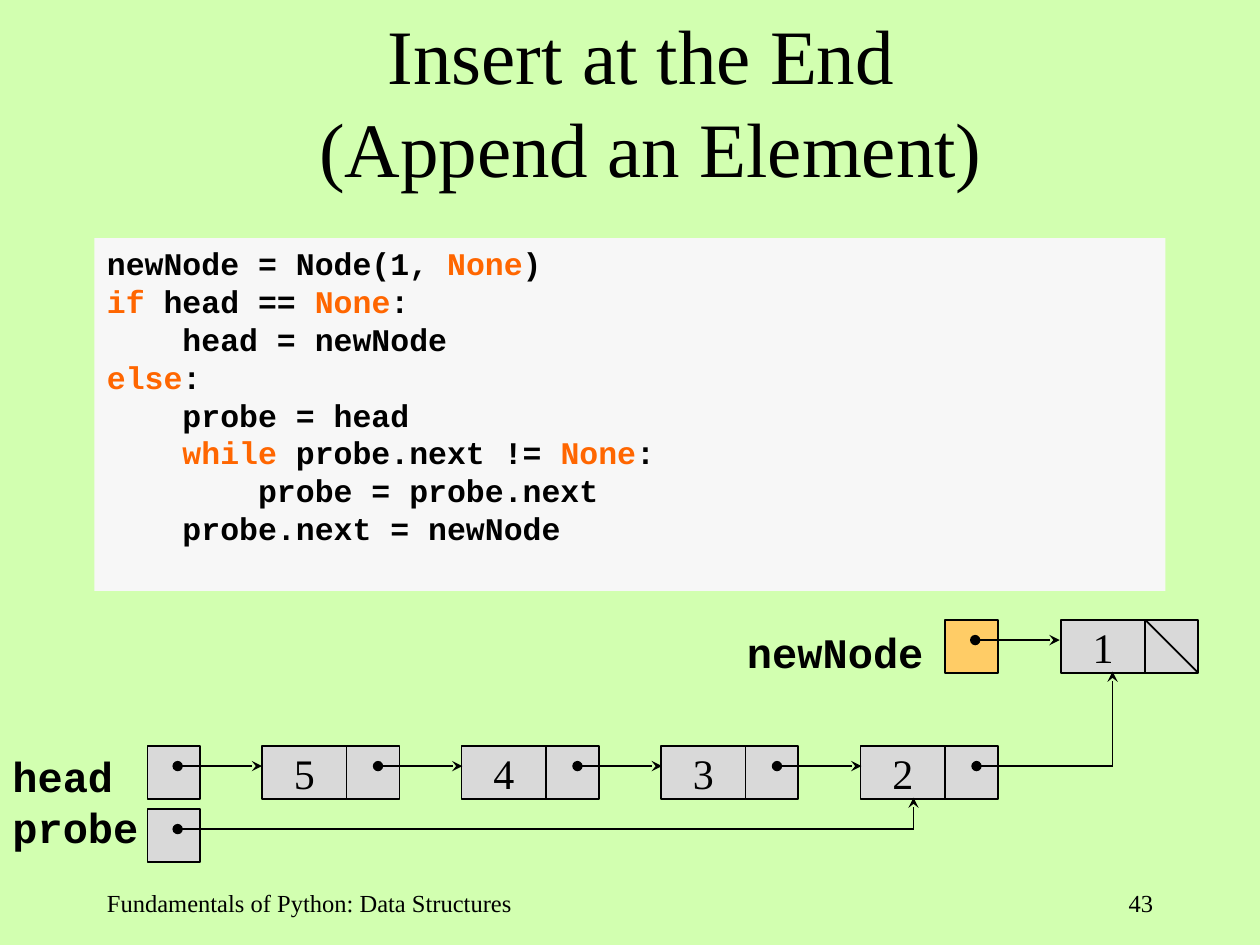
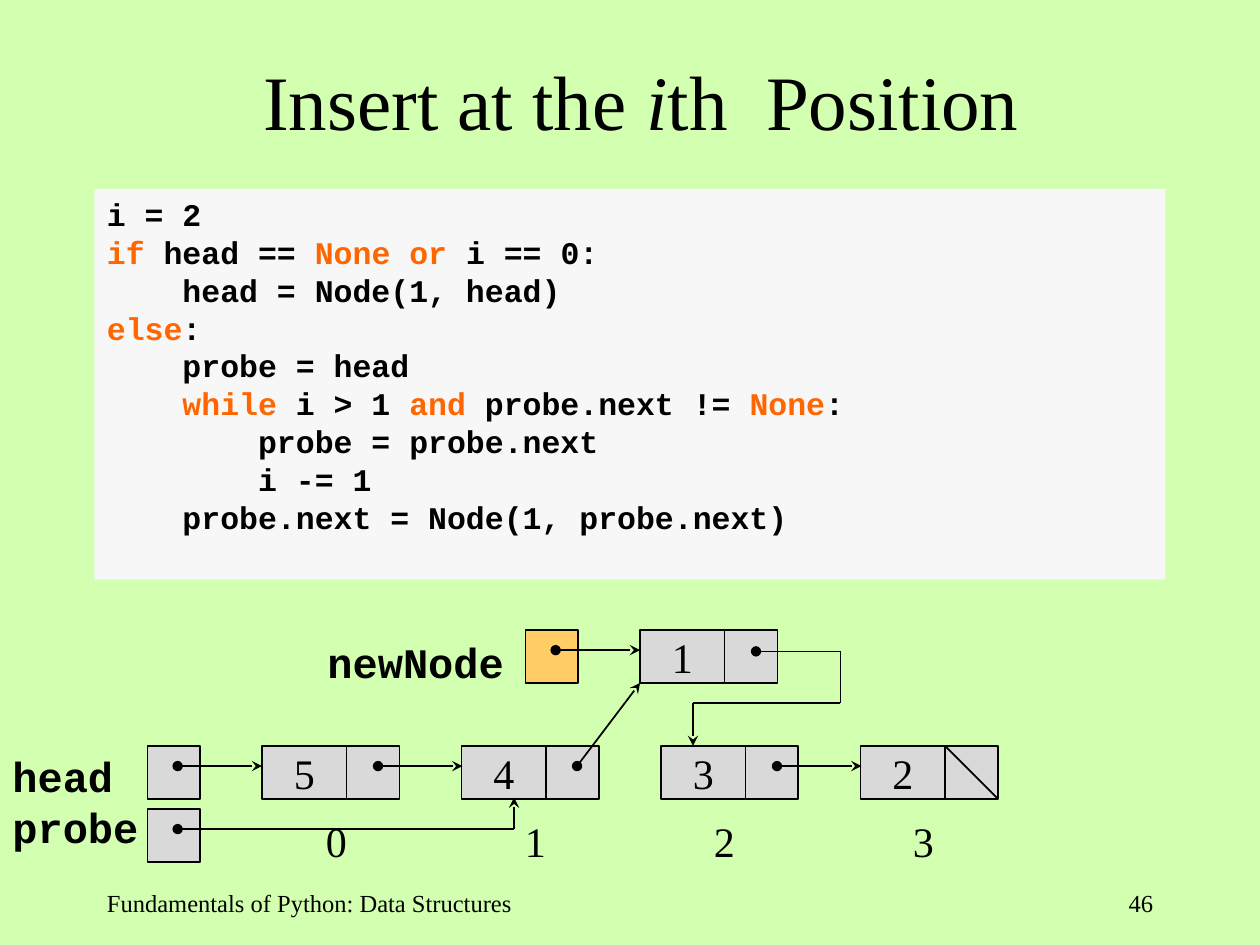
from dataclasses import dataclass

from lxml import etree
from pptx import Presentation
from pptx.dml.color import RGBColor
from pptx.enum import shapes, text
from pptx.oxml import ns
from pptx.util import Inches, Pt

GREEN = RGBColor(0xD2, 0xFF, 0xB0)
GREY = RGBColor(0xD9, 0xD9, 0xD9)
PALE = RGBColor(0xF7, 0xF7, 0xF7)
GOLD = RGBColor(0xFF, 0xCC, 0x66)
ORANGE = RGBColor(0xFF, 0x66, 0x00)
BLACK = RGBColor(0, 0, 0)
SERIF, MONO = "Times New Roman", "Courier New"
LEFT, MID, RIGHT = text.PP_ALIGN.LEFT, text.PP_ALIGN.CENTER, text.PP_ALIGN.RIGHT

# Node geometry in inches
CELL, VALUE = 0.42, 0.67
FIRST, PITCH, ROW = 2.08, 19 / 12, 5.92
DOT = 0.16  # from the top of a cell to its pointer's dot


@dataclass
class Node:
    value: str
    x: float
    y: float = ROW
    last: bool = False


@dataclass
class Line:
    x1: float
    y1: float
    x2: float
    y2: float
    head: bool = False
    tail: bool = False
    width: float = 1


@dataclass
class Page:
    title: str  # parts between bars are italic
    number: str
    top: float
    height: float
    code: str  # parts between bars are keywords
    new: tuple[float, float]
    nodes: list[Node]
    lines: list[Line]
    marks: str = ""


def style(par, size: float, name: str, align=LEFT, bold: bool = False) -> None:
    font = par.font
    font.size, font.name, font.bold = Pt(size), name, bold
    font.color.rgb = BLACK
    par.alignment = align


def label(slide, x: float, y: float, w: float, h: float, rows: list[str],
          size: float, name: str, align=LEFT, bold: bool = False):
    box = slide.shapes.add_textbox(Inches(x), Inches(y), Inches(w), Inches(h))
    frame = box.text_frame
    frame.word_wrap = True
    frame.text = "\n".join(rows)
    for par in frame.paragraphs:
        style(par, size, name, align, bold)
    return frame


def rect(slide, x: float, y: float, w: float, h: float, fill: RGBColor, edge: bool = True):
    box = slide.shapes.add_shape(shapes.MSO_SHAPE.RECTANGLE,
                                 Inches(x), Inches(y), Inches(w), Inches(h))
    box.shadow.inherit = False
    box.fill.solid()
    box.fill.fore_color.rgb = fill
    if edge:
        box.line.color.rgb = BLACK
        box.line.width = Pt(1)
    else:
        box.line.fill.background()
    return box


def draw(slide, line: Line) -> None:
    link = slide.shapes.add_connector(shapes.MSO_CONNECTOR.STRAIGHT, Inches(line.x1),
                                      Inches(line.y1), Inches(line.x2), Inches(line.y2))
    link.line.color.rgb = BLACK
    link.line.width = Pt(line.width)
    edge = link.line._get_or_add_ln()
    for on, tag, kind in ((line.head, "a:headEnd", "oval"), (line.tail, "a:tailEnd", "stealth")):
        if on:
            etree.SubElement(edge, ns.qn(tag), type=kind)
    etree.SubElement(link._element.spPr, ns.qn("a:effectLst"))


def node(slide, item: Node) -> None:
    box = rect(slide, item.x, item.y, VALUE, CELL, GREY)
    frame = box.text_frame
    frame.word_wrap = False
    frame.vertical_anchor = text.MSO_ANCHOR.MIDDLE
    frame.text = item.value
    style(frame.paragraphs[0], 24, SERIF, MID)
    x = item.x + VALUE
    rect(slide, x, item.y, CELL, CELL, GREY)
    if item.last:
        draw(slide, Line(x, item.y, x + CELL, item.y + CELL))


def arrow(x: float, y: float) -> Line:
    """Pointer from a dot to the next node."""
    return Line(x, y + DOT, x + 0.67, y + DOT, True, True)


def place(n: int) -> float:
    return FIRST + n * PITCH


def chain(n: int) -> Line:
    return arrow(place(n) + 0.92, ROW)


def probe(x: float) -> list[Line]:
    return [Line(1.41, 6.58, x, 6.58, head=True),
            Line(x, 6.58, x, 6.33, tail=True, width=0.75)]


def listing(slide, page: Page) -> None:
    frame = rect(slide, 0.75, page.top, 8.5, page.height, PALE, edge=False).text_frame
    frame.word_wrap = True
    frame.vertical_anchor = text.MSO_ANCHOR.TOP
    for n, row in enumerate(page.code.strip().split("\n")):
        par = frame.add_paragraph() if n else frame.paragraphs[0]
        style(par, 18, MONO, bold=True)
        bare = row.lstrip()
        depth = len(row) - len(bare)
        props = par._p.get_or_add_pPr()
        props.set("marL", str(Inches(0.15 * depth)))
        props.set("indent", "0")
        for k, part in enumerate(bare.split("|")):
            if part:
                run = par.add_run()
                run.text = part
                if k % 2:
                    run.font.color.rgb = ORANGE


def heading(slide, title: str) -> None:
    box = slide.shapes.title
    box.left, box.top, box.width, box.height = map(Inches, (0.75, 0.17, 8.83, 1.25))
    frame = box.text_frame
    frame.auto_size = text.MSO_AUTO_SIZE.NONE
    frame.vertical_anchor = text.MSO_ANCHOR.MIDDLE
    par = frame.paragraphs[0]
    style(par, 44, SERIF, MID)
    for k, part in enumerate(title.split("|")):
        for n, row in enumerate(part.split("\n")):
            if n:
                par.add_line_break()
            run = par.add_run()
            run.text = row
            if k % 2:
                run.font.italic = True


def indexes(slide, marks: str) -> None:
    frame = label(slide, 2.07, 6.42, 5.45, 0.5, [marks], 24, SERIF)
    props = frame.paragraphs[0]._p.get_or_add_pPr()
    tabs = etree.Element(ns.qn("a:tabLst"))
    for stop in (0.5, 2.08, 3.58, 5.16):
        etree.SubElement(tabs, ns.qn("a:tab"), pos=str(Inches(stop)), algn="ctr")
    props.insert(0, tabs)


def build(deck, page: Page) -> None:
    slide = deck.slides.add_slide(deck.slide_layouts[5])
    heading(slide, page.title)
    listing(slide, page)
    # Variables that point into the list
    x, y = page.new
    for left, top, fill in ((1.17, ROW, GREY), (1.17, 6.42, GREY), (x, y, GOLD)):
        rect(slide, left, top, CELL, CELL, fill)
    label(slide, 0, 5.91, 1.2, 0.9, ["head", "probe"], 24, MONO, bold=True).word_wrap = False
    label(slide, x - 1.67, y, 1.75, 0.5, ["newNode"], 24, MONO, bold=True)
    # Nodes and links
    for item in page.nodes:
        node(slide, item)
    if page.marks:
        indexes(slide, page.marks)
    for line in [arrow(1.41, ROW), arrow(x + 0.24, y), *page.lines]:
        draw(slide, line)
    # Footer
    label(slide, 0.75, 7, 3.58, 0.5, ["Fundamentals of Python: Data Structures"], 14, SERIF)
    label(slide, 7.17, 7, 2.08, 0.5, [page.number], 14, SERIF, RIGHT)


APPEND = """
newNode = Node(1, |None|)
|if| head == |None|:
    head = newNode
|else|:
    probe = head
    |while| probe.next != |None|:
        probe = probe.next
    probe.next = newNode
"""

INSERT = """
i = 2
|if| head == |None or| i == 0:
    head = Node(1, head)
|else|:
    probe = head
    |while| i > 1 |and| probe.next != |None|:
        probe = probe.next
        i -= 1
    probe.next = Node(1, probe.next)
"""

PAGES = [
    Page("Insert at the End \n(Append an Element)", "43", 1.89, 2.8, APPEND, (7.5, 4.92),
         [Node(v, place(n)) for n, v in enumerate("5432")] + [Node("1", 8.42, 4.92, True)],
         [chain(0), chain(1), chain(2), *probe(7.25),
          Line(7.75, 6.08, 8.83, 6.08, head=True),
          Line(8.83, 6.08, 8.83, 5.33, tail=True, width=0.75)]),
    Page("Insert at the |i|th  Position ", "46", 1.5, 3.1, INSERT, (4.17, 5),
         [Node(v, place(n), last=v == "2") for n, v in enumerate("5432")] + [Node("1", 5.08, 5)],
         [chain(0), chain(2), *probe(4.08),
          Line(4.58, 6.08, 5.08, 5.42, True, True),
          Line(6, 5.17, 6.67, 5.17, head=True),
          Line(6.67, 5.17, 6.67, 5.58, width=0.75),
          Line(6.67, 5.58, 5.5, 5.58, width=0.75),
          Line(5.5, 5.58, 5.5, 5.92, tail=True, width=0.75)],
         "\t0\t1\t2\t3"),
]


def main() -> None:
    deck = Presentation()
    deck.slide_width, deck.slide_height = Inches(10), Inches(7.5)
    back = deck.slide_master.background.fill
    back.solid()
    back.fore_color.rgb = GREEN
    for page in PAGES:
        build(deck, page)
    deck.save("out.pptx")


if __name__ == "__main__":
    main()
